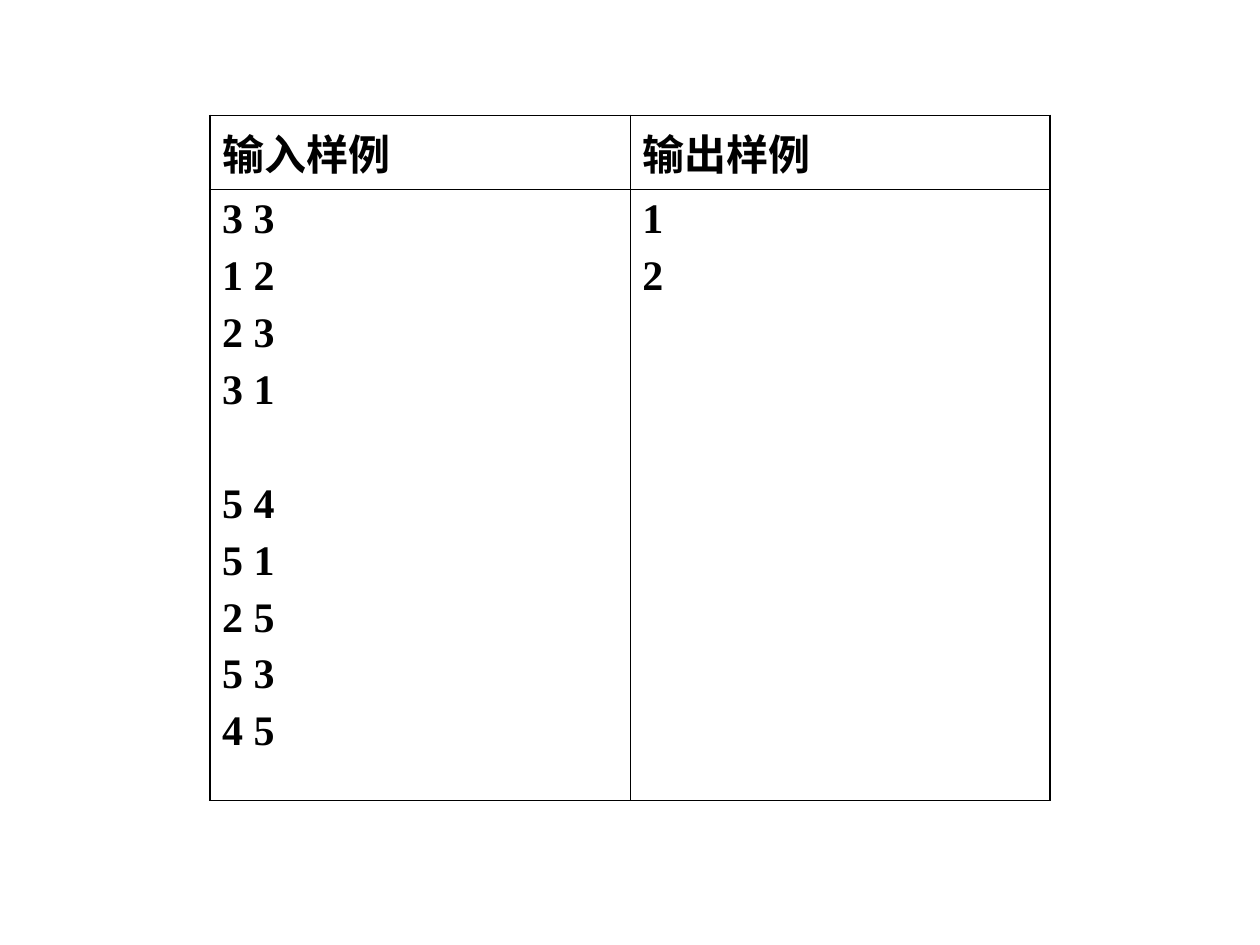
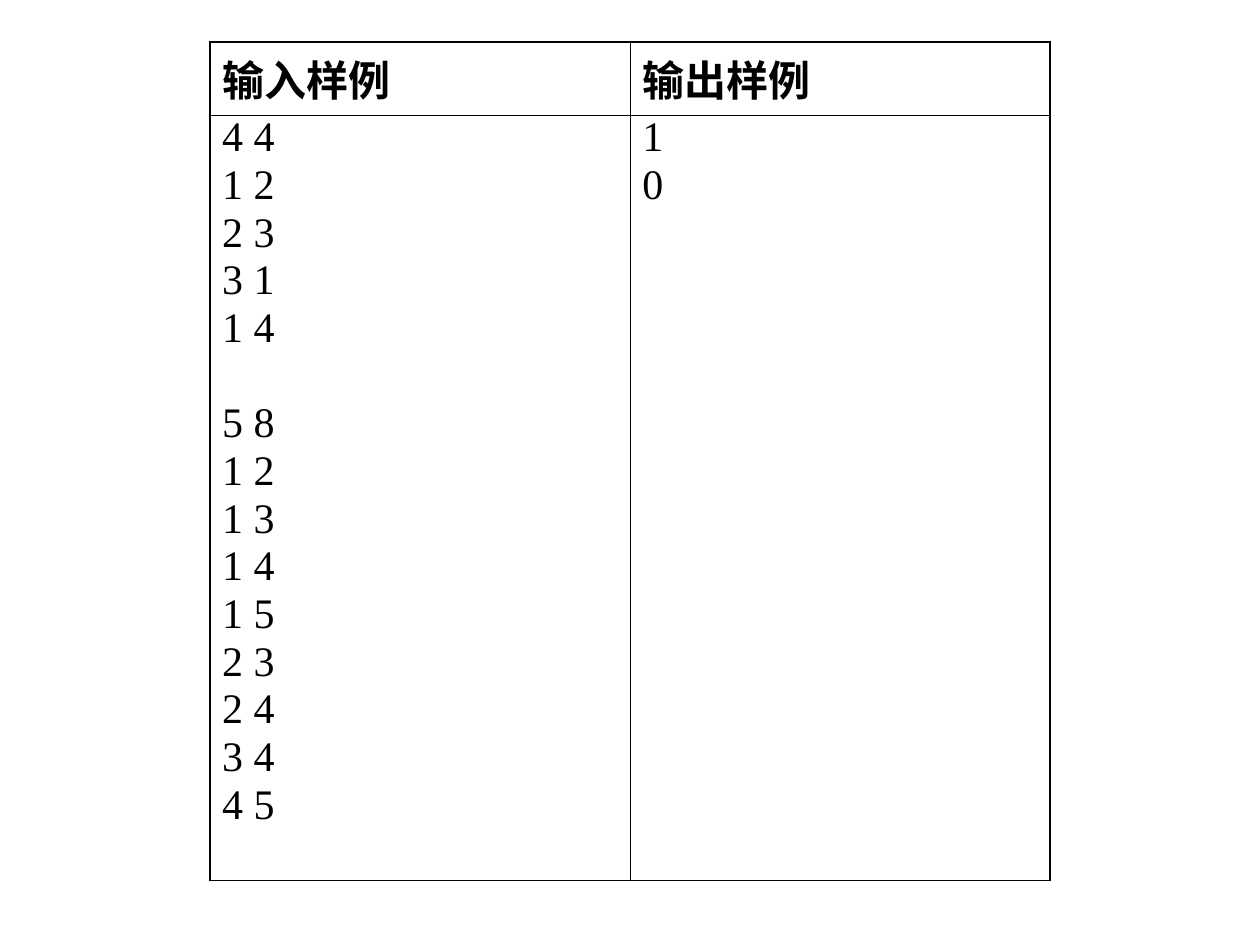
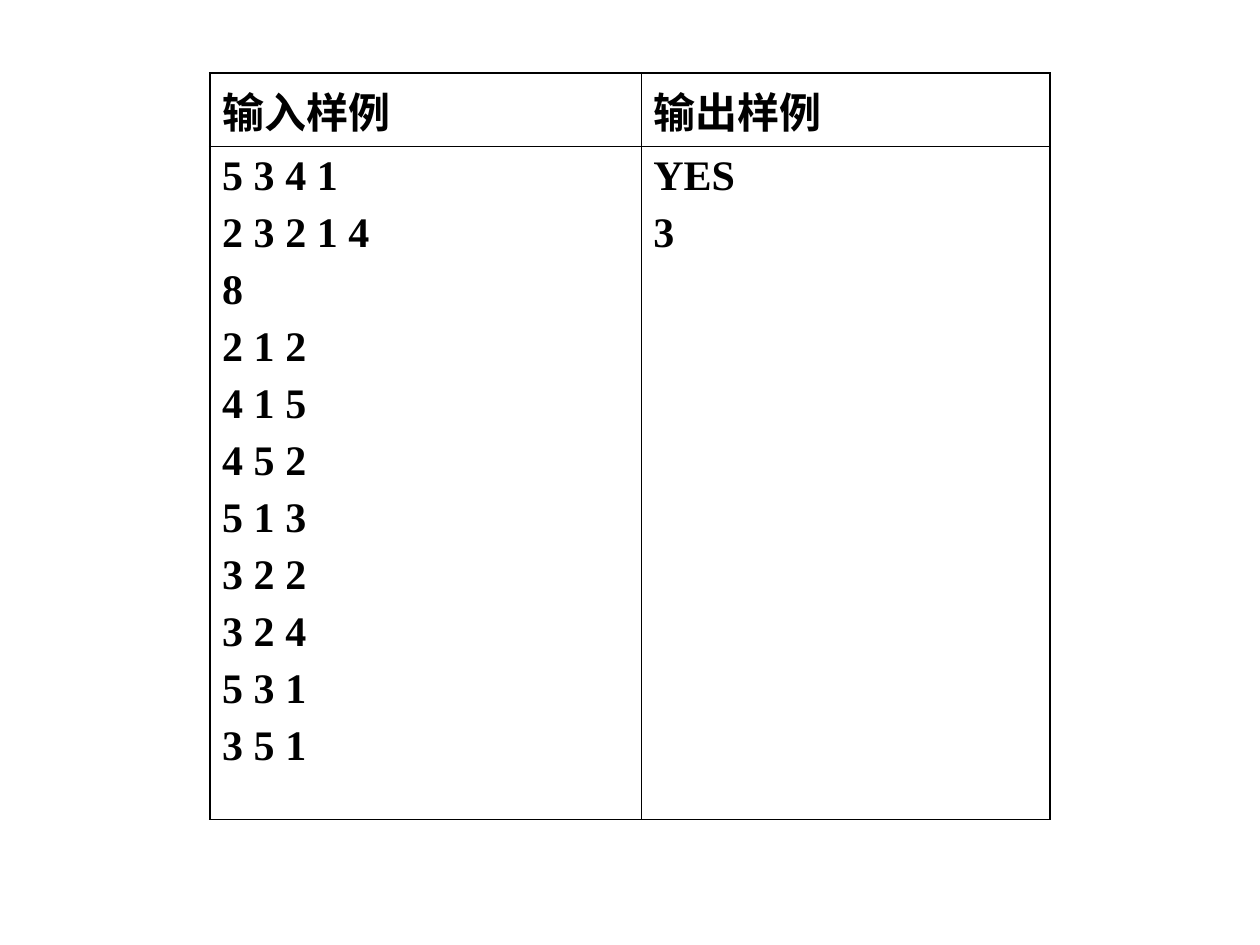
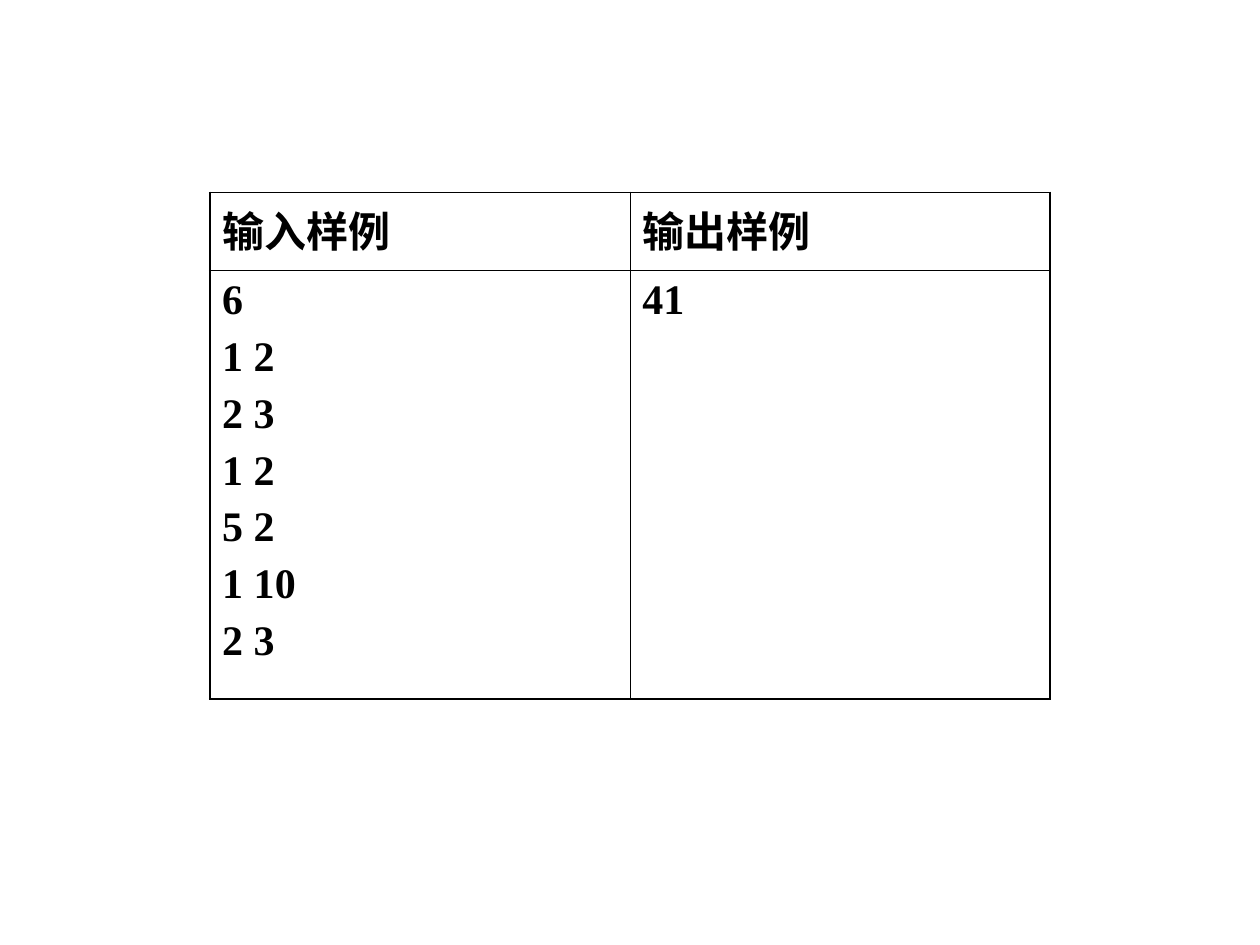
from dataclasses import dataclass
from lxml.etree import SubElement as Sub
from pptx import Presentation as Deck
from pptx.dml.color import RGBColor as Rgb
from pptx.enum.text import PP_ALIGN as Align
from pptx.oxml.ns import qn
from pptx.util import Cm, Pt


@dataclass(frozen=True)
class Theme:
    ink: str = "000000"
    size: float = 24
    gap: float = 6
    thin: float = 0.45
    thick: float = 1.08
    head: str = "Noto Sans CJK SC"
    body: str = "Times New Roman"


theme = Theme()


def edge(cell, side, width):
    line = Sub(cell._tc.get_or_add_tcPr(), qn(f"a:{side}"), w=str(Pt(width)))
    fill = Sub(line, qn("a:solidFill"))
    Sub(fill, qn("a:srgbClr"), val=theme.ink)


def write(cell, groups, font, bold, align, space, skip):
    first = True
    for group in groups:
        for spot, text in enumerate(group):
            para = cell.text_frame.paragraphs[0] if first else cell.text_frame.add_paragraph()
            para.alignment = align
            para.line_spacing = space
            para.space_before = Pt(theme.gap if first or spot else theme.gap + skip)
            first = False
            run = para.add_run()
            run.text = text
            run.font.name = font
            run.font.size = Pt(theme.size)
            run.font.bold = bold
            run.font.color.rgb = Rgb.from_string(theme.ink)
            Sub(run._r.get_or_add_rPr(), qn("a:ea"), typeface=font)


heads = ["输入样例", "输出样例"]
even = (8.47, 8.47)
samples = [
    dict(top=2.33, cols=even, rows=(1.35, 12.32), bold=True, space=None, skip=32.6,
         align=Align.JUSTIFY,
         ins=[["3 3", "1 2", "2 3", "3 1"], ["5 4", "5 1", "2 5", "5 3", "4 5"]],
         outs=[["1", "2"]]),
    dict(top=0.84, cols=even, rows=(1.27, 15.42), bold=False, space=0.8, skip=27.25,
         align=Align.JUSTIFY,
         ins=[["4 4", "1 2", "2 3", "3 1", "1 4"],
              ["5 8", "1 2", "1 3", "1 4", "1 5", "2 3", "2 4", "3 4", "4 5"]],
         outs=[["1", "0"]]),
    dict(top=1.47, cols=(8.69, 8.25), rows=(1.4, 13.56), bold=True, space=None, skip=0,
         align=Align.LEFT,
         ins=[["5 3 4 1", "2 3 2 1 4", "8", "2 1 2", "4 1 5", "4 5 2",
               "5 1 3", "3 2 2", "3 2 4", "5 3 1", "3 5 1"]],
         outs=[["YES", "3"]]),
    dict(top=3.88, cols=even, rows=(1.57, 8.64), bold=True, space=None, skip=0,
         align=Align.JUSTIFY,
         ins=[["6", "1 2", "2 3", "1 2", "5 2", "1 10", "2 3"]],
         outs=[["41"]]),
]

deck = Deck()
deck.slide_width, deck.slide_height = Cm(25.4), Cm(19.05)

for item in samples:
    slide = deck.slides.add_slide(deck.slide_layouts[6])
    cols, rows = item["cols"], item["rows"]
    frame = slide.shapes.add_table(2, 2, Cm(4.23), Cm(item["top"]),
                                   Cm(sum(cols)), Cm(sum(rows)))
    table = frame.table
    table.first_row = table.horz_banding = False
    for col, width in zip(table.columns, cols):
        col.width = Cm(width)
    for row, height in zip(table.rows, rows):
        row.height = Cm(height)

    for c, head in enumerate(heads):
        write(table.cell(0, c), [[head]], theme.head, True, Align.JUSTIFY, None, 0)
    for c, (groups, align) in enumerate([(item["ins"], item["align"]),
                                         (item["outs"], Align.LEFT)]):
        write(table.cell(1, c), groups, theme.body, item["bold"], align,
              item["space"], item["skip"])

    for r in range(2):
        for c in range(2):
            cell = table.cell(r, c)
            cell.margin_left = cell.margin_right = Cm(0.25)
            cell.margin_top = cell.margin_bottom = Cm(0.13)
            for side, outer in [("lnL", c == 0), ("lnR", c == 1),
                                ("lnT", r == 0), ("lnB", r == 1)]:
                edge(cell, side, theme.thick if outer else theme.thin)
            cell.fill.background()

deck.save("out.pptx")
